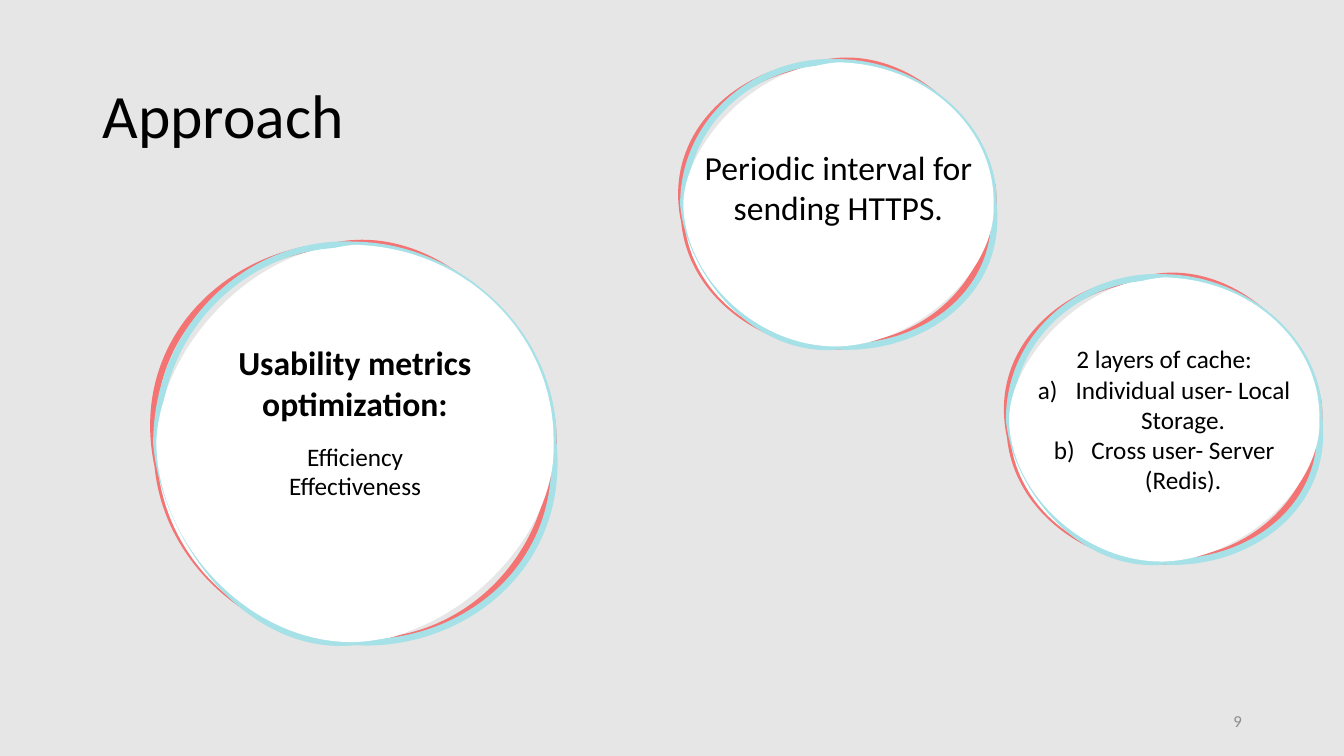
import lxml.etree
import pptx
import pptx.dml.color
import pptx.enum.text
import pptx.oxml.ns
import pptx.util

Cm = pptx.util.Cm
Pt = pptx.util.Pt
RGBColor = pptx.dml.color.RGBColor
Align = pptx.enum.text.PP_ALIGN
Anchor = pptx.enum.text.MSO_ANCHOR
qn = pptx.oxml.ns.qn

BACKGROUND = RGBColor(0xE7, 0xE6, 0xE6)
WHITE = RGBColor(0xFF, 0xFF, 0xFF)
BLACK = RGBColor(0, 0, 0)
GRAY = RGBColor(0x8C, 0x8C, 0x8C)
CORAL = RGBColor(0xF4, 0x74, 0x74)
AQUA = RGBColor(0xA5, 0xE1, 0xE6)
FONT = "Calibri"

# Content: lengths in cm, text sizes in points
LABELS = [
    # text, (left, top, width, height), size, colour, alignment, anchor
    ("Approach", (2.34, 1.02, 29.21, 3.68), 44, BLACK, Align.LEFT, Anchor.MIDDLE),
    ("9", (23.93, 17.65, 7.62, 1.02), 12, GRAY, Align.RIGHT, Anchor.MIDDLE),
    ("Efficiency", (5.05, 11, 7.8, 1.02), 18, BLACK, Align.CENTER, Anchor.TOP),
    ("Effectiveness", (5.05, 11.73, 7.8, 1.02), 18, BLACK, Align.CENTER, Anchor.TOP),
]
CIRCLES = [
    # lines, (left, top, width, height), size, bold, bottom inset
    (["Periodic interval for sending HTTPS."], (17.22, 1.57, 7.82, 7.16), 24, False, 0.99),
    (["2 layers of cache:", "Individual user- Local Storage.", "Cross user- Server (Redis)."],
     (25.43, 6.99, 7.82, 7.16), 18, False, 0.13),
    (["Usability metrics optimization:"], (3.94, 6.17, 10.01, 10.01), 24, True, 3.2),
]
LIST_INDENT = 0.95
RING_TURN = 173.4

# Hand-drawn circle on a 1000 by 1000 grid: start, then Bezier triples
START = (0, 500)
RING_CURVES = [
    [(0, 198), (244, -15), (500, 0)], [(761, 3), (1005, 226), (1000, 500)],
    [(1030, 822), (759, 1015), (500, 1000)], [(226, 1028), (18, 731), START],
]
DISC_CURVES = [
    [(5, 261), (266, 20), (500, 0)], [(789, 8), (1005, 236), (1000, 500)],
    [(1010, 728), (761, 990), (500, 1000)], [(236, 1005), (3, 754), START],
]


def add_path(path_list, curves, **options):
    outline = lxml.etree.SubElement(path_list, qn("a:path"), w="1000", h="1000", **options)
    steps = [("a:moveTo", [START])] + [("a:cubicBezTo", curve) for curve in curves]
    for tag, points in steps:
        step = lxml.etree.SubElement(outline, qn(tag))
        for x, y in points:
            lxml.etree.SubElement(step, qn("a:pt"), x=str(x), y=str(y))
    lxml.etree.SubElement(outline, qn("a:close"))


def add_sketch_circle(slide, bounds, color, turn):
    left, top, width, height = [Cm(value) for value in bounds]
    right, bottom = left + width, top + height
    builder = slide.shapes.build_freeform(left, top)
    builder.add_line_segments([(right, top), (right, bottom), (left, bottom)])
    circle = builder.convert_to_shape()
    path_list = next(circle.element.iter(qn("a:pathLst")))
    for outline in list(path_list):
        path_list.remove(outline)
    add_path(path_list, RING_CURVES, fill="none")
    add_path(path_list, DISC_CURVES, stroke="0")
    circle.rotation = turn
    circle.shadow.inherit = False
    circle.fill.solid()
    circle.fill.fore_color.rgb = WHITE
    circle.line.color.rgb = color
    circle.line.width = Pt(4.5)
    return circle


def write_lines(shape, lines, size, color, alignment, anchor, bold=False):
    frame = shape.text_frame
    frame.word_wrap = True
    frame.vertical_anchor = anchor
    frame.text = "\n".join(lines)
    for index, para in enumerate(frame.paragraphs):
        if index:  # lines after the first are lettered a), b)
            properties = para._p.get_or_add_pPr()
            properties.set("marL", str(Cm(LIST_INDENT)))
            properties.set("indent", str(-Cm(LIST_INDENT)))
            lxml.etree.SubElement(properties, qn("a:buAutoNum"), type="alphaLcParenR")
        para.alignment = alignment
        for span in para.runs:
            span.font.name = FONT
            span.font.size = Pt(size)
            span.font.bold = bold
            span.font.color.rgb = color


def main():
    deck = pptx.Presentation()
    deck.slide_width, deck.slide_height = Cm(33.87), Cm(19.05)
    slide = deck.slides.add_slide(deck.slide_layouts[6])
    slide.background.fill.solid()
    slide.background.fill.fore_color.rgb = BACKGROUND

    # Circles: a turned coral ring behind an aqua one that holds the text
    for lines, bounds, size, bold, inset in CIRCLES:
        add_sketch_circle(slide, bounds, CORAL, RING_TURN)
        circle = add_sketch_circle(slide, bounds, AQUA, 0)
        write_lines(circle, lines, size, BLACK, Align.CENTER, Anchor.MIDDLE, bold)
        circle.text_frame.margin_bottom = Cm(inset)

    # Title, page number and the two metrics
    for text, bounds, size, color, alignment, anchor in LABELS:
        box = slide.shapes.add_textbox(*[Cm(value) for value in bounds])
        write_lines(box, [text], size, color, alignment, anchor)

    deck.save("out.pptx")


if __name__ == "__main__":
    main()
